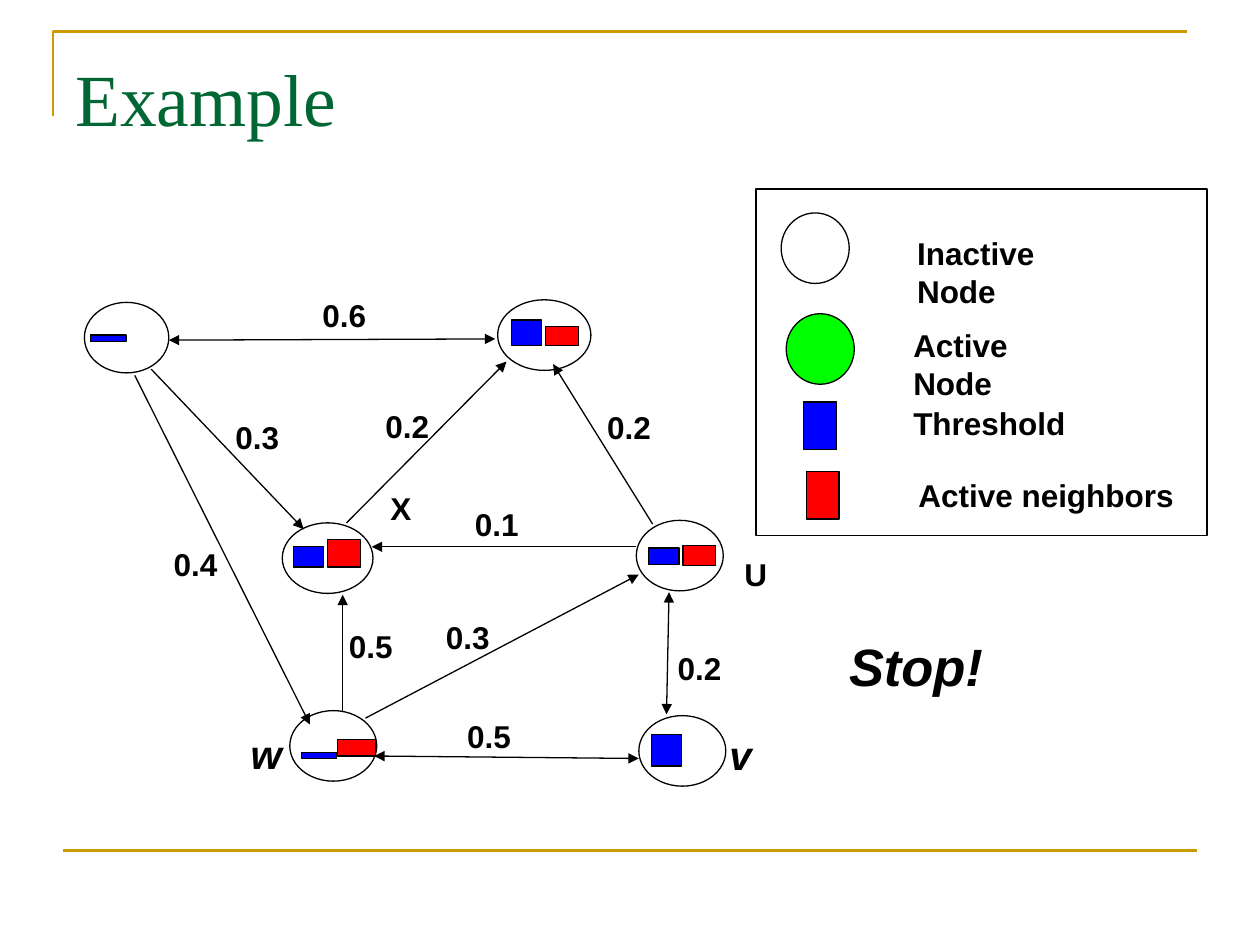
from pptx import Presentation
from pptx.dml.color import RGBColor
from pptx.enum.shapes import MSO_CONNECTOR as CONN, MSO_SHAPE as SHAPE
from pptx.oxml.ns import qn
from pptx.util import Inches, Pt
from lxml.etree import SubElement

BLACK, WHITE, GOLD = "000000", "FFFFFF", "CC9900"
BLUE, RED, GREEN, TITLE = "0000FF", "FF0000", "00FF00", "006633"

NODES = {
    "top left": (0.07, 0.10, 0.67),
    "top right": (3.35, 0.08, 0.74),
    "X": (1.64, 1.85, 0.72),
    "U": (4.45, 1.83, 0.69),
    "w": (1.70, 3.34, 0.69),
    "v": (4.47, 3.38, 0.69),
}
BARS = [
    ("top left", BLUE, 0.05, 0.26, 0.28, 0.05),
    ("top right", BLUE, 0.11, 0.16, 0.24, 0.20),
    ("top right", RED, 0.38, 0.21, 0.26, 0.15),
    ("X", BLUE, 0.09, 0.19, 0.24, 0.16),
    ("X", RED, 0.36, 0.13, 0.26, 0.22),
    ("U", BLUE, 0.10, 0.22, 0.24, 0.13),
    ("U", RED, 0.37, 0.20, 0.26, 0.16),
    ("w", BLUE, 0.09, 0.33, 0.28, 0.05),
    ("w", RED, 0.38, 0.23, 0.30, 0.13),
    ("v", BLUE, 0.10, 0.15, 0.24, 0.25),
]
EDGES = [
    ((2.37, 3.70), (4.47, 3.72), True, "0.5", (3.01, 3.34)),
    ((2.30, 3.40), (4.47, 2.26), False, "0.3", (2.84, 2.56)),
    ((2.12, 3.34), (2.12, 2.42), False, "0.5", (2.07, 2.63)),
    ((4.45, 2.04), (2.35, 2.04), False, "0.1", (3.07, 1.66)),
    ((0.47, 0.68), (1.86, 3.45), False, "0.4", (0.68, 1.98)),
    ((0.60, 0.63), (1.81, 1.90), False, "0.3", (1.17, 0.97)),
    ((2.15, 1.85), (3.42, 0.57), False, "0.2", (2.36, 0.88)),
    ((0.74, 0.40), (3.33, 0.39), True, "0.6", (1.86, 0)),
    ((4.58, 1.86), (3.79, 0.59), False, "0.2", (4.12, 0.89)),
    ((4.71, 2.40), (4.69, 3.37), True, "0.2", (4.68, 2.80)),
]
NODE_LABELS = [
    ("U", 5.21, 2.06, 0.44, 0.40, 18, False),
    ("X", 2.40, 1.53, 0.44, 0.40, 18, False),
    ("v", 5.09, 3.45, 0.34, 0.49, 23, True),
    ("w", 1.29, 3.44, 0.38, 0.49, 23, True),
]
LEGEND = [
    (SHAPE.OVAL, WHITE, 0.20, 0.19, 0.54, 0.56, "Inactive Node", 1.18, 0.31, 1.82),
    (SHAPE.OVAL, GREEN, 0.24, 0.99, 0.54, 0.56, "Active Node", 1.15, 1.04, 1.64),
    (SHAPE.RECTANGLE, BLUE, 0.38, 1.69, 0.26, 0.38, "Threshold", 1.15, 1.66, 1.41),
    (SHAPE.RECTANGLE, RED, 0.40, 2.24, 0.26, 0.38, "Active neighbors", 1.19, 2.23, 2.23),
]


def color(value):
    return RGBColor.from_string(value)


def style_line(line, value, width):
    line.color.rgb = color(value)
    line.width = Pt(width)


def add_figure(s, kind, x, y, w, h, fill=None):
    sp = s.shapes.add_shape(kind, Inches(x), Inches(y), Inches(w), Inches(h))
    sp.shadow.inherit = False
    if fill:
        sp.fill.solid()
        sp.fill.fore_color.rgb = color(fill)
    else:
        sp.fill.background()
    style_line(sp.line, BLACK, 0.75)


def add_text(s, text, x, y, w, h, size=18, italic=False, wrap=True,
             bold=True, font="Arial", fill=BLACK):
    sp = s.shapes.add_textbox(Inches(x), Inches(y), Inches(w), Inches(h))
    tf = sp.text_frame
    tf.text = text
    tf.word_wrap = wrap
    r = tf.paragraphs[0].runs[0]
    r.font.name, r.font.size = font, Pt(size)
    r.font.bold, r.font.italic = bold, italic
    r.font.color.rgb = color(fill)
    return tf


def add_line(s, start, end, value=BLACK, width=0.75, arrows=()):
    points = [Inches(n) for n in (*start, *end)]
    line = s.shapes.add_connector(CONN.STRAIGHT, *points)
    style_line(line.line, value, width)
    for arrow in arrows:
        SubElement(line.line._get_or_add_ln(), qn(arrow), type="triangle")
    SubElement(line._element.spPr, qn("a:effectLst"))


def add_frame(s, x, y, w, h):
    builder = s.shapes.build_freeform(Inches(x), Inches(y + 0.67))
    corner = [(Inches(x), Inches(y)), (Inches(x + w), Inches(y))]
    builder.add_line_segments(corner, close=False)
    sp = builder.convert_to_shape()
    sp.shadow.inherit = False
    sp.fill.background()
    style_line(sp.line, GOLD, 1.5)
    add_line(s, (x + 0.08, y + h), (x + 0.08 + w, y + h), GOLD, 1.5)
    tf = add_text(s, "Example", x + 0.08, y + 0.05, w, 1.25, 42,
                  bold=False, font="Times New Roman", fill=TITLE)
    tf.margin_top = Inches(0.12)


def add_legend(s, x, y, w, h):
    add_figure(s, SHAPE.RECTANGLE, x, y, w, h)
    for kind, fill, dx, dy, kw, kh, text, tx, ty, tw in LEGEND:
        add_figure(s, kind, x + dx, y + dy, kw, kh, fill)
        add_text(s, text, x + tx, y + ty, tw, 0.4, wrap=False)


def add_graph(s, x, y):
    for dx, dy, w in NODES.values():
        add_figure(s, SHAPE.OVAL, x + dx, y + dy, w, 0.56, WHITE)
    for start, end, both, weight, (dx, dy) in EDGES:
        arrows = ("a:headEnd", "a:tailEnd") if both else ("a:tailEnd",)
        add_line(s, (x + start[0], y + start[1]), (x + end[0], y + end[1]),
                 arrows=arrows)
        add_text(s, weight, x + dx, y + dy, 0.67, 0.4)
    for node, fill, dx, dy, w, h in BARS:
        nx, ny, _ = NODES[node]
        add_figure(s, SHAPE.RECTANGLE, x + nx + dx, y + ny + dy, w, h, fill)
    for text, dx, dy, w, h, size, italic in NODE_LABELS:
        add_text(s, text, x + dx, y + dy, w, h, size, italic)


def main():
    prs = Presentation()
    prs.slide_width, prs.slide_height = Inches(10), Inches(7.5)
    s = prs.slides.add_slide(prs.slide_layouts[6])
    add_frame(s, 0.42, 0.25, 9, 6.5)
    add_legend(s, 6, 1.5, 3.58, 2.75)
    add_graph(s, 0.6, 2.3)
    add_text(s, "Stop!", 6.64, 4.98, 1.43, 0.6, 30, italic=True)
    prs.save("out.pptx")


if __name__ == "__main__":
    main()
